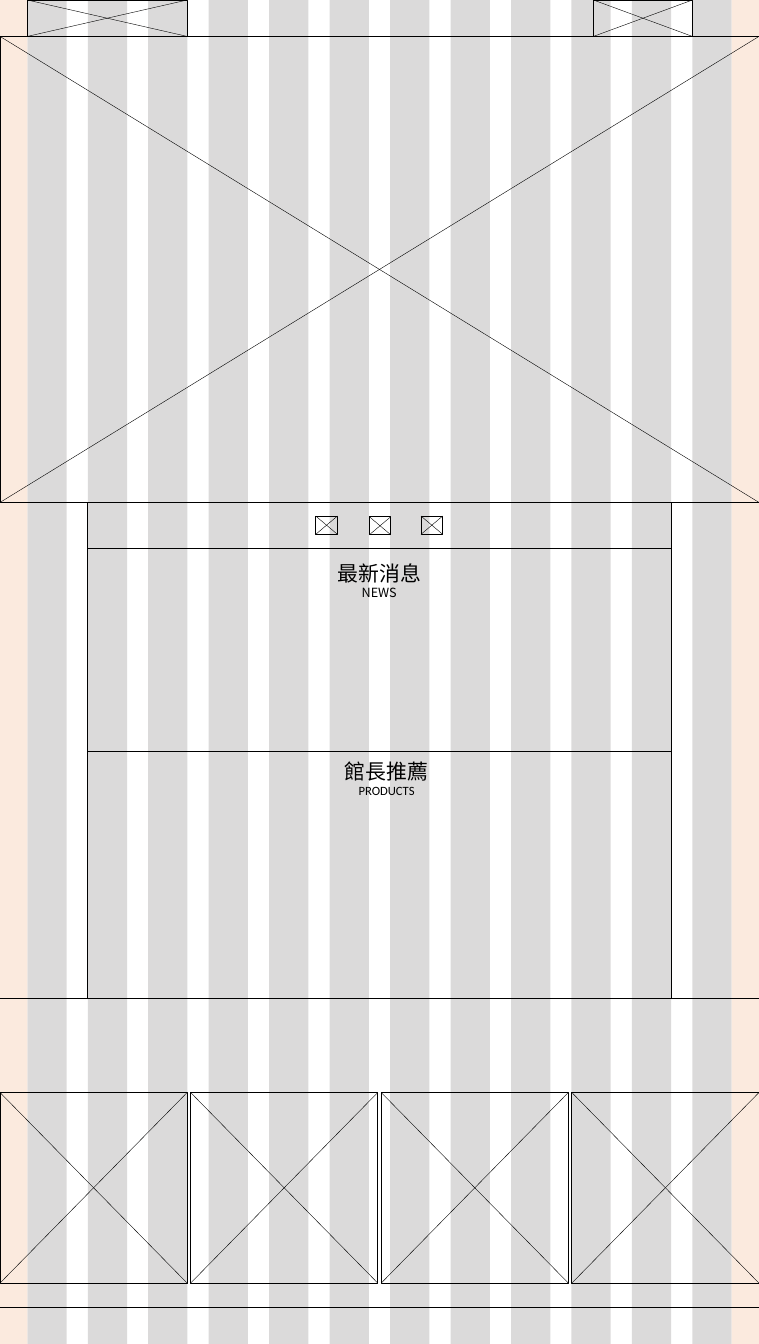
from lxml import etree
from pptx import Presentation
from pptx.dml.color import RGBColor
from pptx.enum import shapes, text
from pptx.oxml.ns import qn
from pptx.util import Inches, Pt

WIDTH, HEIGHT = 13.34, 23.62
BLACK = RGBColor(0x00, 0x00, 0x00)
COLUMN_GREY = RGBColor(0xB9, 0xB7, 0xB7)
MARGIN_PEACH = RGBColor(0xFB, 0xE5, 0xD6)
LATIN_FONT = "Calibri"
CJK_FONT = "Noto Sans CJK TC"

COLUMN_COUNT = 12
COLUMN_WIDTH = 0.69
MARGIN = 0.48
COLUMN_PITCH = (12.17 - MARGIN) / (COLUMN_COUNT - 1)

HEADER_BOTTOM = 0.64
BANNER_BOTTOM = 8.83
CONTENT_LEFT, CONTENT_RIGHT = 1.53, 11.79
CONTENT_BOTTOM = 17.54


def add_rectangle(container, left, top, width, height):
    shape = container.shapes.add_shape(
        shapes.MSO_SHAPE.RECTANGLE,
        Inches(left), Inches(top), Inches(width), Inches(height))
    shape.shadow.inherit = False
    return shape


def add_band(group, left, width, color, opacity):
    """Full-height translucent strip of the layout grid."""
    shape = add_rectangle(group, left, 0, width, HEIGHT)
    shape.fill.solid()
    shape.fill.fore_color.rgb = color
    shape.line.fill.background()
    color_element = shape.fill._xPr.find(qn("a:solidFill"))[0]
    alpha = etree.SubElement(color_element, qn("a:alpha"))
    alpha.set("val", str(opacity * 1000))


def add_line(container, x1, y1, x2, y2, weight=0.5):
    line = container.shapes.add_connector(
        shapes.MSO_CONNECTOR.STRAIGHT,
        Inches(x1), Inches(y1), Inches(x2), Inches(y2))
    line.line.color.rgb = BLACK
    line.line.width = Pt(weight)
    etree.SubElement(line._element.spPr, qn("a:effectLst"))


def add_crossed_box(slide, left, top, width, height):
    """Wireframe image slot: an outlined box with both diagonals."""
    group = slide.shapes.add_group_shape()
    frame = add_rectangle(group, left, top, width, height)
    frame.fill.background()
    frame.line.color.rgb = BLACK
    frame.line.width = Pt(1)
    right, bottom = left + width, top + height
    add_line(group, right, top, left, bottom)
    add_line(group, right, bottom, left, top)


def add_heading(slide, left, top, title, subtitle, subtitle_font):
    box = slide.shapes.add_textbox(
        Inches(left), Inches(top), Inches(1.83), Inches(1.26))
    frame = box.text_frame
    frame.word_wrap = True
    frame.text = f"{title}\n{subtitle}"
    styles = ((26.4, LATIN_FONT), (16, subtitle_font))
    for paragraph, (size, font_name) in zip(frame.paragraphs, styles):
        paragraph.alignment = text.PP_ALIGN.CENTER
        paragraph.line_spacing = 0.9
        font = paragraph.runs[0].font
        font.size = Pt(size)
        font.name = font_name
        font.color.rgb = BLACK
        east_asian = etree.SubElement(font._element, qn("a:ea"))
        east_asian.set("typeface", CJK_FONT)


def add_grid(slide):
    group = slide.shapes.add_group_shape()
    for index in range(COLUMN_COUNT):
        add_band(group, MARGIN + index * COLUMN_PITCH, COLUMN_WIDTH,
                 COLUMN_GREY, 50)
    for left in (0, WIDTH - MARGIN):
        add_band(group, left, MARGIN, MARGIN_PEACH, 80)


def main():
    presentation = Presentation()
    presentation.slide_width = Inches(WIDTH)
    presentation.slide_height = Inches(HEIGHT)
    slide = presentation.slides.add_slide(presentation.slide_layouts[6])

    # Twelve-column grid and outer margins
    add_grid(slide)

    # Header slots and main banner
    add_line(slide, 0, HEADER_BOTTOM, WIDTH, HEADER_BOTTOM, 0.75)
    add_crossed_box(slide, 0.48, 0, 2.81, HEADER_BOTTOM)
    add_crossed_box(slide, 10.43, 0, 1.74, HEADER_BOTTOM)
    add_crossed_box(slide, 0, HEADER_BOTTOM, WIDTH,
                    BANNER_BOTTOM - HEADER_BOTTOM)

    # Content frame and its sections
    for x in (CONTENT_LEFT, CONTENT_RIGHT):
        add_line(slide, x, BANNER_BOTTOM, x, CONTENT_BOTTOM)
    for y in (9.63, 13.21):
        add_line(slide, CONTENT_LEFT, y, CONTENT_RIGHT, y)
    for left, top in ((5.55, 9.07), (6.49, 9.08), (7.4, 9.07)):
        add_crossed_box(slide, left, top, 0.38, 0.32)
    add_heading(slide, 5.75, 9.86, "最新消息", "NEWS", CJK_FONT)
    add_heading(slide, 5.88, 13.34, "館長推薦", "PRODUCTS", LATIN_FONT)

    # Gallery row and footer rules
    for y in (CONTENT_BOTTOM, 22.98):
        add_line(slide, 0, y, WIDTH, y)
    tile_width = 3.29
    tile_pitch = (WIDTH - tile_width) / 3
    for index in range(4):
        add_crossed_box(slide, index * tile_pitch, 19.2, tile_width, 3.35)

    presentation.save("out.pptx")


if __name__ == "__main__":
    main()
